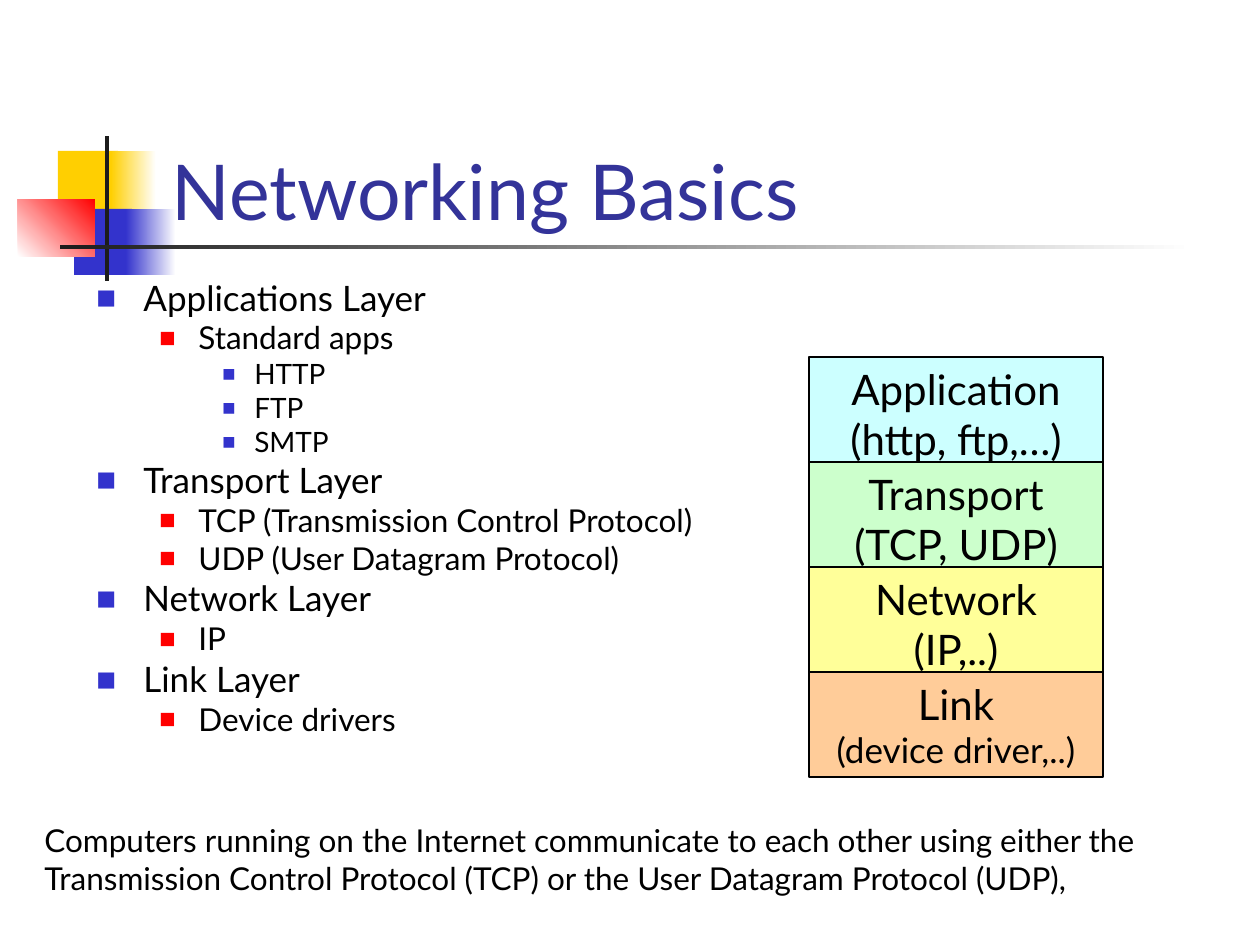
from dataclasses import dataclass
from typing import NamedTuple

from lxml.etree import SubElement
from pptx import Presentation
from pptx.dml.color import RGBColor as Rgb
from pptx.enum.shapes import MSO_SHAPE as Preset
from pptx.enum.text import MSO_ANCHOR as Anchor, PP_ALIGN as Align
from pptx.oxml.ns import qn
from pptx.util import Emu, Pt

PX_PER_INCH = 126


def px(length):
    return Emu(round(length * 914400 / PX_PER_INCH))


class Box(NamedTuple):
    left: int
    top: int
    width: int
    height: int

    def inner(self, left, top, width, height):
        """Return a box whose position is relative to this one."""
        return Box(self.left + left, self.top + top, width, height)

    def emu(self):
        return [px(length) for length in self]


class Level(NamedTuple):
    size: float
    space_before: float
    indent: int
    hanging: int
    bullet_color: str
    bullet_percent: int


@dataclass(frozen=True)
class Theme:
    font: str = "Lato"
    text: str = "000000"
    title: str = "333399"
    yellow: str = "FFCF01"
    blue: str = "3333CC"
    red: str = "FF0000"
    dark: str = "1C1C1C"
    white: str = "FFFFFF"
    title_size: int = 44
    layer_size: int = 24
    small_layer_size: int = 20
    note_size: int = 18
    levels: tuple = (
        Level(20, 5, 47, 47, blue, 60),
        Level(18, 4.5, 102, 39, red, 55),
        Level(16, 4, 158, 32, blue, 50),
    )


THEME = Theme()

OUTLINE = [
    (0, "Applications Layer"),
    (1, "Standard apps"),
    (2, "HTTP"),
    (2, "FTP"),
    (2, "SMTP"),
    (0, "Transport Layer"),
    (1, "TCP (Transmission Control Protocol)"),
    (1, "UDP (User Datagram Protocol)"),
    (0, "Network Layer"),
    (1, "IP"),
    (0, "Link Layer"),
    (1, "Device drivers"),
]

# name, examples, size of the examples, fill, height
LAYERS = [
    ("Application", "(http, ftp,…)", THEME.layer_size, "CCFFFF", 113),
    ("Transport", "(TCP, UDP)", THEME.layer_size, "CCFFCC", 113),
    ("Network", "(IP,..)", THEME.layer_size, "FFFF99", 113),
    ("Link", "(device driver,..)", THEME.small_layer_size, "FFCC99", 105),
]
LAYER_PITCH = 105

NOTE = (
    "Computers running on the Internet communicate to each other using either the "
    "Transmission Control Protocol (TCP) or the User Datagram Protocol (UDP),"
)


def format_runs(paragraph, size, color=THEME.text):
    for run in paragraph.runs:
        run.font.name = THEME.font
        run.font.size = Pt(size)
        run.font.color.rgb = Rgb.from_string(color)


def add_rectangle(slide, box, *colors, angle=0):
    """Add a borderless rectangle; two colors make a gradient."""
    shape = slide.shapes.add_shape(Preset.RECTANGLE, *box.emu())
    shape.shadow.inherit = False
    shape.line.fill.background()
    if len(colors) == 1:
        shape.fill.solid()
        shape.fill.fore_color.rgb = Rgb.from_string(colors[0])
    else:
        shape.fill.gradient()
        shape.fill.gradient_angle = angle
        for position, (stop, color) in enumerate(zip(shape.fill.gradient_stops, colors)):
            stop.position = position
            stop.color.rgb = Rgb.from_string(color)
    return shape


def add_text_frame(slide, box):
    text_frame = slide.shapes.add_textbox(*box.emu()).text_frame
    text_frame.word_wrap = True
    return text_frame


def add_ornament(slide, box):
    add_rectangle(slide, box.inner(40, 15, 60, 66), THEME.yellow)
    add_rectangle(slide, box.inner(93, 15, 45, 66), THEME.yellow, THEME.white)
    add_rectangle(slide, box.inner(56, 73, 58, 66), THEME.blue)
    add_rectangle(slide, box.inner(108, 73, 50, 66), THEME.blue, THEME.white)
    add_rectangle(slide, box.inner(0, 63, 77, 58), THEME.white, THEME.red, angle=45)
    add_rectangle(slide, box.inner(87, 0, 4, box.height), THEME.dark)
    add_rectangle(slide, box.inner(42, 109, box.width - 42, 4), THEME.dark, THEME.white)


def place_title(slide, box, text):
    """Fill the title placeholder and bring it in front of the ornament."""
    title = slide.shapes.title
    title.left, title.top, title.width, title.height = box.emu()
    title.text_frame.text = text
    title.text_frame.vertical_anchor = Anchor.BOTTOM
    paragraph = title.text_frame.paragraphs[0]
    paragraph.alignment = Align.LEFT
    format_runs(paragraph, THEME.title_size, THEME.title)
    slide.shapes._spTree.append(title._element)


def set_bullet(paragraph, level):
    properties = paragraph._p.get_or_add_pPr()
    properties.set("marL", str(px(level.indent)))
    properties.set("indent", str(-px(level.hanging)))
    color = SubElement(properties, qn("a:buClr"))
    SubElement(color, qn("a:srgbClr"), val=level.bullet_color)
    SubElement(properties, qn("a:buSzPct"), val=str(level.bullet_percent * 1000))
    SubElement(properties, qn("a:buFont"), typeface=THEME.font)
    SubElement(properties, qn("a:buChar"), char="■")


def add_outline(slide, box, items):
    text_frame = add_text_frame(slide, box)
    for index, (depth, text) in enumerate(items):
        level = THEME.levels[depth]
        paragraph = text_frame.add_paragraph() if index else text_frame.paragraphs[0]
        paragraph.text = text
        paragraph.level = depth
        set_bullet(paragraph, level)
        paragraph.line_spacing = 0.8
        paragraph.space_before = Pt(level.space_before if index else 0)
        format_runs(paragraph, level.size)


def add_layer_stack(slide, box, layers):
    for index, (name, examples, size, fill, height) in enumerate(layers):
        layer_box = box.inner(0, index * LAYER_PITCH, box.width, height)
        shape = add_rectangle(slide, layer_box, fill)
        shape.line.color.rgb = Rgb.from_string(THEME.text)
        shape.line.width = Pt(1)
        text_frame = shape.text_frame
        text_frame.text = f"{name}\n{examples}"
        text_frame.vertical_anchor = Anchor.TOP
        for paragraph, text_size in zip(text_frame.paragraphs, (THEME.layer_size, size)):
            paragraph.alignment = Align.CENTER
            format_runs(paragraph, text_size)


def add_note(slide, box, text):
    text_frame = add_text_frame(slide, box)
    text_frame.text = text
    format_runs(text_frame.paragraphs[0], THEME.note_size)


def main():
    presentation = Presentation()
    presentation.slide_width, presentation.slide_height = px(1260), px(945)
    slide = presentation.slides.add_slide(presentation.slide_layouts[5])
    add_ornament(slide, Box(18, 136, 1176, 145))
    place_title(slide, Box(159, 84, 1074, 158), "Networking Basics")
    add_outline(slide, Box(84, 278, 662, 567), OUTLINE)
    add_layer_stack(slide, Box(809, 357, 294, 420), LAYERS)
    add_note(slide, Box(32, 815, 1187, 88), NOTE)
    presentation.save("out.pptx")


if __name__ == "__main__":
    main()
